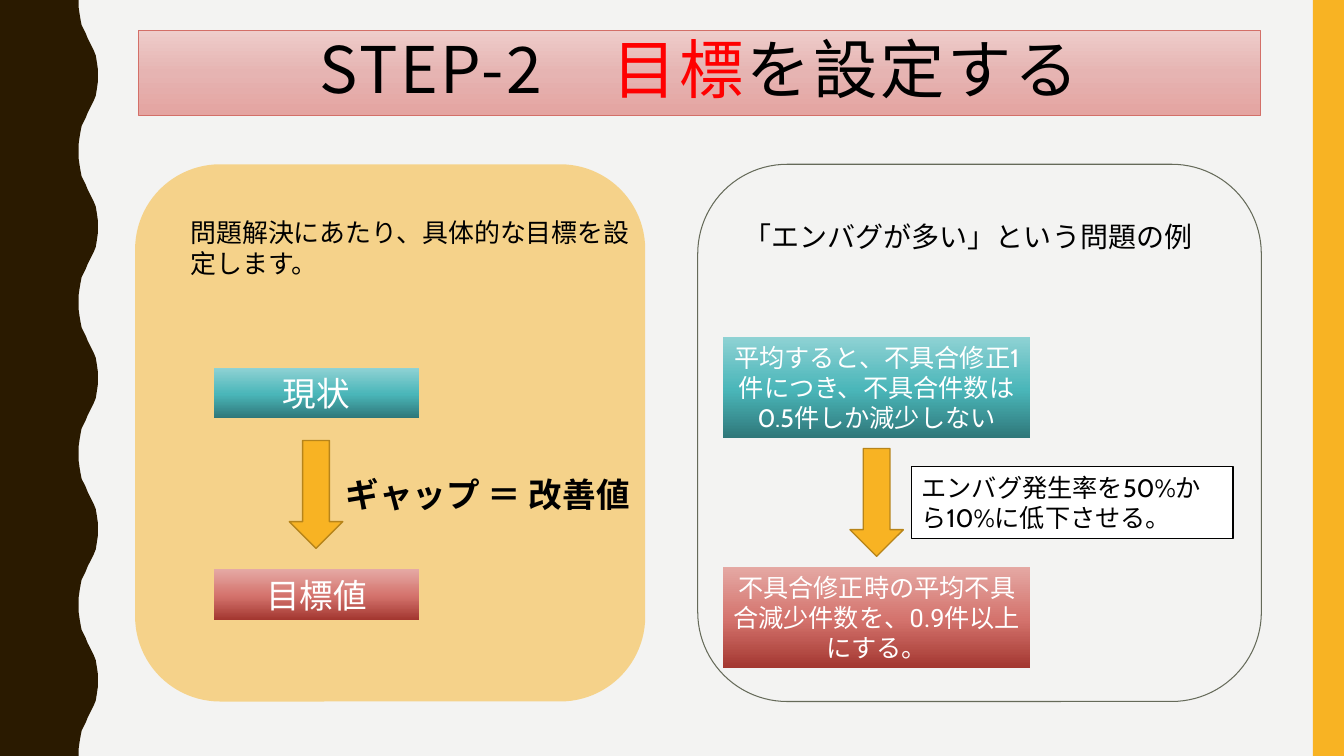
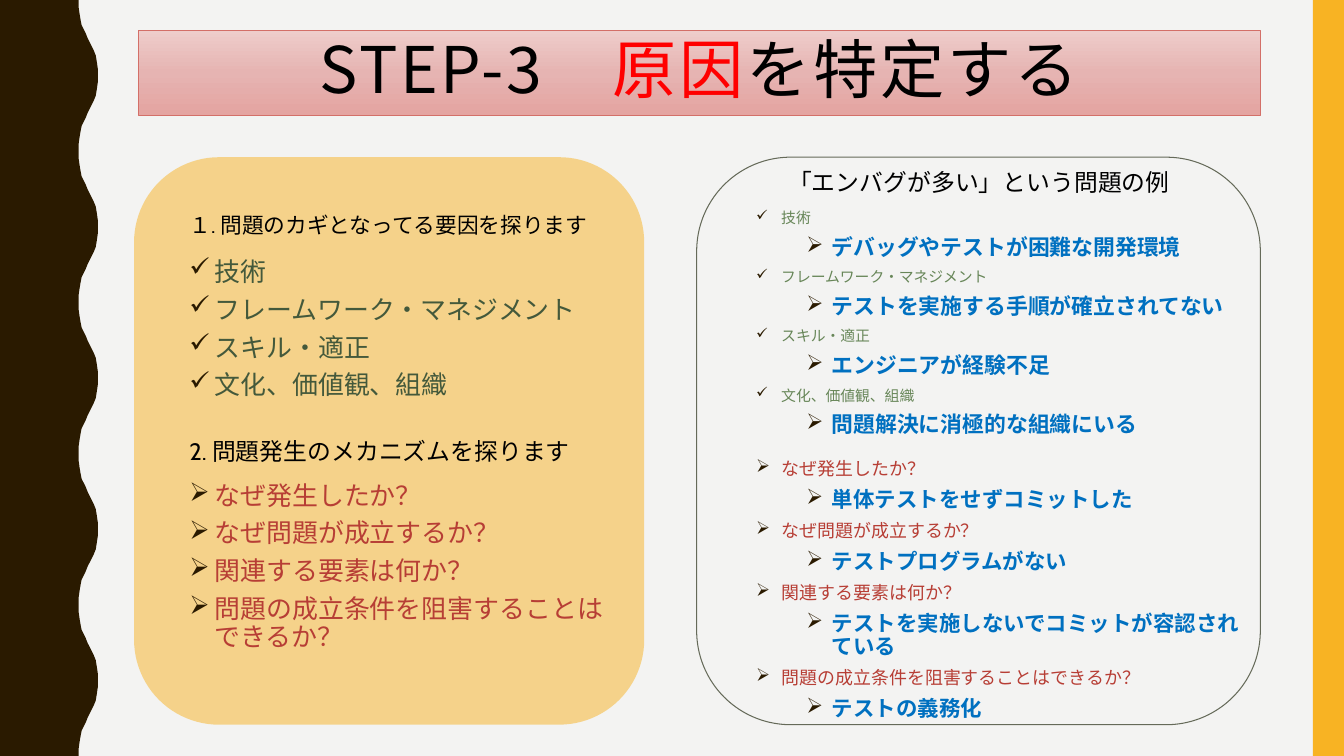
from dataclasses import dataclass

from lxml.etree import SubElement
from pptx import Presentation
from pptx.dml.color import RGBColor
from pptx.enum.shapes import MSO_SHAPE
from pptx.enum.text import MSO_ANCHOR, MSO_AUTO_SIZE, PP_ALIGN
from pptx.oxml.ns import qn
from pptx.util import Inches, Pt


@dataclass(frozen=True)
class Theme:
    # Colours
    paper: str = "F3F3F2"
    brown: str = "2A1A00"
    amber: str = "F8B323"
    amber_edge: str = "B7841A"
    panel_edge: str = "656A59"
    title_edge: str = "D36F68"
    black: str = "000000"
    white: str = "FFFFFF"
    red: str = "FF0000"
    green: str = "44593B"
    light_green: str = "678658"
    brick: str = "B73E35"
    blue: str = "0070C0"
    # Gradients as (position, colour)
    title_gradient: tuple = ((0, "EECDCB"), (50, "E6B4B2"), (100, "E4A4A1"))
    teal_gradient: tuple = ((0, "2F7779"), (48, "4AB6B9"), (100, "8FD2D4"))
    red_gradient: tuple = ((0, "A33730"), (48, "D4736D"), (100, "E5A9A4"))
    # Fonts and type sizes
    latin: str = "Cabin"
    alternate: str = "Roboto"
    japanese: str = "Noto Sans CJK JP"
    title_size: float = 45.9
    label_size: float = 24
    example_size: float = 20
    body_size: float = 18.5
    box_size: float = 18
    heading_size: float = 17
    small_heading_size: float = 15.5
    factor_size: float = 10.6
    factor_answer_size: float = 15.6
    question_size: float = 12.8
    question_answer_size: float = 15.3


THEME = Theme()
CHECK, ARROWHEAD = "✓", "➢"
EXAMPLE = "「エンバグが多い」という問題の例"
FACTORS = ["技術", "フレームワーク・マネジメント", "スキル・適正", "文化、価値観、組織"]
QUESTIONS = ["なぜ発生したか？", "なぜ問題が成立するか？", "関連する要素は何か？",
             "問題の成立条件を阻害することはできるか？"]
FACTOR_ANSWERS = ["デバッグやテストが困難な開発環境", "テストを実施する手順が確立されてない",
                  "エンジニアが経験不足", "問題解決に消極的な組織にいる"]
QUESTION_ANSWERS = ["単体テストをせずコミットした", "テストプログラムがない",
                    "テストを実施しないでコミットが容認されている", "テストの義務化"]


def rgb(code):
    return RGBColor.from_string(code)


# Fills and outlines
def paint(shape, fill=None, edge=None, width=1):
    shape.shadow.inherit = False
    if fill:
        shape.fill.solid()
        shape.fill.fore_color.rgb = rgb(fill)
    else:
        shape.fill.background()
    outline(shape, edge, width)


def outline(shape, edge, width):
    if edge:
        shape.line.color.rgb = rgb(edge)
        shape.line.width = Pt(width)
    else:
        shape.line.fill.background()


def shade(shape, stops, angle):
    shape.fill.gradient()
    shape.fill.gradient_angle = angle
    stop_list = next(shape.element.spPr.iter(qn("a:gsLst")))
    for stop in list(stop_list):
        stop_list.remove(stop)
    for position, code in stops:
        stop = SubElement(stop_list, qn("a:gs"), pos=str(position * 1000))
        SubElement(stop, qn("a:srgbClr"), val=code)


def add_block(slide, kind, box, fill=None, edge=None, width=1):
    block = slide.shapes.add_shape(kind, *map(Inches, box))
    paint(block, fill, edge, width)
    return block


# Text
def style_run(run, size, color, bold=False, font=THEME.latin):
    run.font.size = Pt(size)
    run.font.bold = bold
    run.font.color.rgb = rgb(color)
    run.font.name = font
    SubElement(run.font._element, qn("a:ea"), typeface=THEME.japanese)


def write(shape, text, size, color=THEME.black, align=PP_ALIGN.LEFT,
          spacing=None, bold=False, font=THEME.latin):
    paragraph = shape.text_frame.paragraphs[0]
    paragraph.text = text
    paragraph.alignment = align
    paragraph.line_spacing = spacing
    style_run(paragraph.runs[0], size, color, bold, font)


def add_textbox(slide, box, wrap=True):
    textbox = slide.shapes.add_textbox(*map(Inches, box))
    textbox.text_frame.word_wrap = wrap
    return textbox


def add_text(slide, box, text, size, wrap=True, **style):
    write(add_textbox(slide, box, wrap), text, size, **style)


def add_bullets(slide, box, items):
    """Each item is (text, level, bullet, size, colour)."""
    frame = add_textbox(slide, box).text_frame
    for index, (text, level, bullet, size, color) in enumerate(items):
        paragraph = frame.add_paragraph() if index else frame.paragraphs[0]
        paragraph.text = text
        paragraph.level = level
        paragraph.line_spacing = 0.9
        paragraph.space_before = Pt(7)
        properties = paragraph._p.get_or_add_pPr()
        properties.set("marL", str(Inches(0.25 + 0.5 * level)))
        properties.set("indent", str(Inches(-0.25)))
        bullet_color = SubElement(properties, qn("a:buClr"))
        SubElement(bullet_color, qn("a:srgbClr"), val=THEME.brown)
        SubElement(properties, qn("a:buChar"), char=bullet)
        style_run(paragraph.runs[0], size, color, bold=level > 0)


def with_answers(topics, answers, bullet, size, color, answer_size):
    for topic, answer in zip(topics, answers):
        yield topic, 0, bullet, size, color
        yield answer, 1, ARROWHEAD, answer_size, THEME.blue


# Shared parts
def wave_points():
    rise = [(0.78, 0), (0.78, 0.07), (0.79, 0.14), (0.8, 0.2),
            (0.81, 0.25), (0.83, 0.29), (0.85, 0.33), (0.87, 0.38),
            (0.89, 0.42), (0.91, 0.46), (0.93, 0.5), (0.95, 0.55),
            (0.96, 0.61), (0.97, 0.68), (0.97, 0.75)]
    crest = rise + [(x, 1.5 - y) for x, y in reversed(rise[:-1])]
    return [(x, y + 1.5 * period) for period in range(5) for x, y in crest]


def decorate_layout(slide):
    """Draw the side bands and move them to the layout of the slide."""
    edge = [(Inches(x), Inches(y)) for x, y in wave_points()]
    builder = slide.shapes.build_freeform(0, 0)
    builder.add_line_segments(edge + [(0, Inches(7.5))], close=True)
    wave = builder.convert_to_shape()
    paint(wave, THEME.brown)
    band = add_block(slide, MSO_SHAPE.RECTANGLE, (13.02, 0, 0.31, 7.5), THEME.amber)
    for number, part in enumerate((wave, band)):
        part.element.nvSpPr.cNvPr.set("id", str(100 + number))
        slide.slide_layout.shapes.element.insert(2 + number, part.element)


def set_title(slide, step, keyword, rest):
    title = slide.shapes.title
    title.left, title.top, title.width, title.height = map(Inches, (1.37, 0.3, 11.13, 0.84))
    shade(title, THEME.title_gradient, 270)
    outline(title, THEME.title_edge, 0.5)
    frame = title.text_frame
    frame.auto_size = MSO_AUTO_SIZE.NONE
    frame.word_wrap = True
    frame.vertical_anchor = MSO_ANCHOR.MIDDLE
    paragraph = frame.paragraphs[0]
    paragraph.alignment = PP_ALIGN.CENTER
    paragraph.line_spacing = 0.9
    for text, color in ((step, THEME.black), (keyword, THEME.red), (rest, THEME.black)):
        run = paragraph.add_run()
        run.text = text
        style_run(run, THEME.title_size, color, font=THEME.japanese)
        run.font._element.set("spc", "200")


def add_panels(slide, left, top, height):
    add_block(slide, MSO_SHAPE.ROUNDED_RECTANGLE, (left + 5.58, top, 5.59, height),
              edge=THEME.panel_edge, width=0.75)
    explanation = add_block(slide, MSO_SHAPE.ROUNDED_RECTANGLE,
                            (left, top, 5.06, height), THEME.amber)
    color = next(explanation.element.spPr.iter(qn("a:srgbClr")))
    SubElement(color, qn("a:alpha"), val="50000")


def add_state(slide, box, text, gradient, size, font=THEME.latin):
    state = add_block(slide, MSO_SHAPE.RECTANGLE, box)
    shade(state, gradient, 90)
    write(state, text, size, THEME.white, PP_ALIGN.CENTER, font=font)


def add_down_arrow(slide, left, top):
    add_block(slide, MSO_SHAPE.DOWN_ARROW, (left, top, 0.53, 1.07),
              THEME.amber, THEME.amber_edge)


# Slides
def build_goal_slide(slide):
    add_panels(slide, 1.34, 1.63, 5.33)
    set_title(slide, "STEP-2\u3000", "目標", "を設定する")

    # Explanation
    add_text(slide, (1.79, 2.1, 4.62, 0.79),
             "問題解決にあたり、具体的な目標を設定します。", THEME.body_size)
    add_state(slide, (2.12, 5.65, 2.04, 0.5), "目標値", THEME.red_gradient, THEME.label_size)
    add_state(slide, (2.12, 3.65, 2.04, 0.5), "現状", THEME.teal_gradient,
              THEME.label_size, THEME.alternate)
    add_text(slide, (3.33, 4.65, 3.08, 0.5), "ギャップ ＝ 改善値", THEME.label_size,
             wrap=False, bold=True)
    add_down_arrow(slide, 2.87, 4.37)

    # Example
    add_text(slide, (7.09, 2.1, 5.02, 0.79), EXAMPLE, THEME.example_size,
             align=PP_ALIGN.CENTER, spacing=1.1)
    add_state(slide, (7.17, 3.34, 3.05, 1.01),
              "平均すると、不具合修正1件につき、不具合件数は0.5件しか減少しない",
              THEME.teal_gradient, THEME.box_size)
    add_state(slide, (7.17, 5.62, 3.05, 1.01),
              "不具合修正時の平均不具合減少件数を、0.9件以上にする。",
              THEME.red_gradient, THEME.box_size, THEME.alternate)
    improvement = add_block(slide, MSO_SHAPE.RECTANGLE, (9.04, 4.63, 3.19, 0.71),
                            THEME.white, THEME.black)
    write(improvement, "エンバグ発生率を50%から10%に低下させる。", THEME.box_size)
    add_down_arrow(slide, 8.43, 4.45)


def build_cause_slide(slide):
    add_panels(slide, 1.33, 1.56, 5.63)
    set_title(slide, "STEP-3\u3000", "原因", "を特定する")

    # Explanation
    add_text(slide, (1.78, 2.08, 4.42, 0.37), "１. 問題のカギとなってる要因を探ります",
             THEME.small_heading_size, spacing=0.9)
    add_bullets(slide, (1.78, 2.52, 4.42, 1.61),
                [(factor, 0, CHECK, THEME.body_size, THEME.green) for factor in FACTORS])
    add_text(slide, (1.78, 4.32, 4.42, 0.37), "2. 問題発生のメカニズムを探ります",
             THEME.heading_size, spacing=0.9)
    add_bullets(slide, (1.78, 4.74, 4.42, 1.94),
                [(question, 0, ARROWHEAD, THEME.body_size, THEME.brick)
                 for question in QUESTIONS])

    # Example
    add_text(slide, (7.32, 1.65, 4.78, 0.37), EXAMPLE, THEME.heading_size,
             align=PP_ALIGN.CENTER, spacing=0.9)
    add_bullets(slide, (7.4, 2.04, 5.02, 2.54),
                with_answers(FACTORS, FACTOR_ANSWERS, CHECK, THEME.factor_size,
                             THEME.light_green, THEME.factor_answer_size))
    add_bullets(slide, (7.4, 4.51, 5.02, 2.88),
                with_answers(QUESTIONS, QUESTION_ANSWERS, ARROWHEAD, THEME.question_size,
                             THEME.brick, THEME.question_answer_size))


def main():
    deck = Presentation()
    deck.slide_width, deck.slide_height = Inches(13.33), Inches(7.5)
    background = deck.slide_master.background.fill
    background.solid()
    background.fore_color.rgb = rgb(THEME.paper)

    title_only = deck.slide_layouts[5]
    goal, cause = (deck.slides.add_slide(title_only) for _ in range(2))
    decorate_layout(goal)
    build_goal_slide(goal)
    build_cause_slide(cause)
    deck.save("out.pptx")


main()
